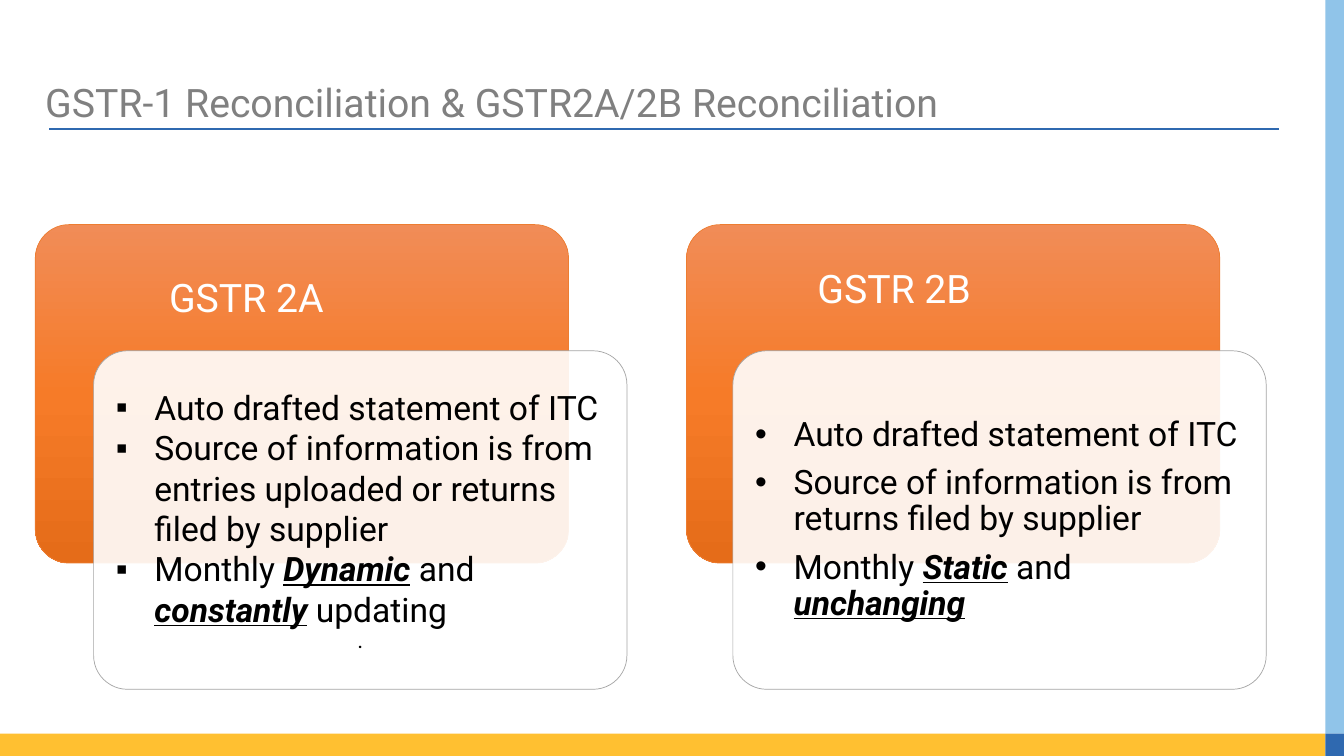
from copy import deepcopy

from lxml import etree
from pptx import Presentation
from pptx.dml.color import RGBColor
from pptx.enum.shapes import MSO_CONNECTOR, MSO_SHAPE
from pptx.enum.text import MSO_ANCHOR, MSO_AUTO_SIZE, PP_ALIGN
from pptx.oxml.ns import qn
from pptx.util import Cm, Pt

RECTANGLE, ROUNDED = MSO_SHAPE.RECTANGLE, MSO_SHAPE.ROUNDED_RECTANGLE
STRAIGHT = MSO_CONNECTOR.STRAIGHT
LEFT, CENTER = PP_ALIGN.LEFT, PP_ALIGN.CENTER
MIDDLE = MSO_ANCHOR.MIDDLE
NO_AUTOFIT = MSO_AUTO_SIZE.NONE

WIDTH, HEIGHT = 33.87, 19.05
TWO_CONTENT_LAYOUT = 3


def color(hex_string):
    return RGBColor.from_string(hex_string)


class SlideBuilder:
    font_name = "Roboto"
    yellow, light_blue, blue = "FFC031", "90C4E9", "2F69B0"
    gray, white, black = "808080", "FFFFFF", "000000"
    orange_line, card_line = "ED7D31", "A5A5A5"
    orange_stops = ((0, "F18C57"), (0.5, "F67B28"), (1, "E56C19"))
    list_indent = 0.97
    card_inset = 0.56

    def __init__(self, presentation):
        layout = presentation.slide_layouts[TWO_CONTENT_LAYOUT]
        self.slide = presentation.slides.add_slide(layout)
        self.shapes = self.slide.shapes

    def place(self, shape, box):
        for name, value in zip(("left", "top", "width", "height"), box):
            setattr(shape, name, Cm(value))

    def set_frame(self, frame, inset_x=0.25, inset_y=0.13):
        values = {
            "word_wrap": True, "auto_size": NO_AUTOFIT, "vertical_anchor": MIDDLE,
            "margin_left": Cm(inset_x), "margin_right": Cm(inset_x),
            "margin_top": Cm(inset_y), "margin_bottom": Cm(inset_y),
        }
        for name, value in values.items():
            setattr(frame, name, value)

    def fill_paragraph(self, paragraph, text, size, text_color,
                       spacing=1.0, after=0, align=LEFT):
        """Adds the text; parts between asterisks are emphasised."""
        values = {"alignment": align, "line_spacing": spacing,
                  "space_before": Pt(0), "space_after": Pt(after)}
        for name, value in values.items():
            setattr(paragraph, name, value)
        for index, part in enumerate(text.split("*")):
            if not part:
                continue
            strong = index % 2 == 1
            run = paragraph.add_run()
            run.text = part
            font = {"name": self.font_name, "size": Pt(size),
                    "bold": strong, "italic": strong, "underline": strong}
            for name, value in font.items():
                setattr(run.font, name, value)
            run.font.color.rgb = color(text_color)

    def title(self, box, text):
        title = self.shapes.title
        self.place(title, box)
        self.set_frame(title.text_frame)
        self.fill_paragraph(title.text_frame.paragraphs[0], text, 28, self.gray, spacing=0.9)

    def bar(self, box, fill):
        bar = self.shapes.add_shape(RECTANGLE, *map(Cm, box))
        bar.shadow.inherit = False
        bar.fill.solid()
        bar.fill.fore_color.rgb = color(fill)
        bar.line.fill.background()

    def rule(self, start_x, end_x, y):
        rule = self.shapes.add_connector(STRAIGHT, Cm(start_x), Cm(y), Cm(end_x), Cm(y))
        rule.line.color.rgb = color(self.blue)
        rule.line.width = Pt(0.82)
        etree.SubElement(rule._element.spPr, qn("a:effectLst"))

    def rounded(self, box, line):
        shape = self.shapes.add_shape(ROUNDED, *map(Cm, box))
        shape.shadow.inherit = False
        shape.adjustments[0] = 0.1
        shape.line.color.rgb = color(line)
        shape.line.width = Pt(0.5)
        return shape

    def orange_panel(self, box):
        panel = self.rounded(box, self.orange_line)
        panel.fill.gradient()
        panel.fill.gradient_angle = 270
        stop_list = panel._element.spPr.find(".//" + qn("a:gsLst"))
        stop_list.append(deepcopy(stop_list[0]))
        for stop, (position, hex_string) in zip(panel.fill.gradient_stops, self.orange_stops):
            stop.position = position
            stop.color.rgb = color(hex_string)

    def white_card(self, box):
        card = self.rounded(box, self.card_line)
        card.fill.solid()
        card.fill.fore_color.rgb = color(self.white)
        white = card._element.spPr.find(qn("a:solidFill"))[0]
        etree.SubElement(white, qn("a:alpha"), val="90000")

    def bullet(self, paragraph, character):
        properties = paragraph._p.get_or_add_pPr()
        indent = Cm(self.list_indent) if character else 0
        properties.set("marL", str(int(indent)))
        properties.set("indent", str(int(-indent)))
        if character:
            etree.SubElement(properties, qn("a:buFont"), typeface="Arial")
            etree.SubElement(properties, qn("a:buChar"), char=character)
        else:
            etree.SubElement(properties, qn("a:buNone"))

    def bullet_list(self, index, box, items, character, spacing, after, closing):
        body = self.slide.placeholders[index]
        self.place(body, box)
        self.shapes._spTree.append(body._element)  # bring in front of the card
        frame = body.text_frame
        self.set_frame(frame, self.card_inset, self.card_inset)
        for number, item in enumerate(items):
            paragraph = frame.add_paragraph() if number else frame.paragraphs[0]
            self.bullet(paragraph, character)
            self.fill_paragraph(paragraph, item, 24, self.black, spacing, after)
        if closing:
            paragraph = frame.add_paragraph()
            self.bullet(paragraph, None)
            self.fill_paragraph(paragraph, closing, 16, self.black, 0.9, 6, CENTER)

    def label(self, box, text):
        label = self.shapes.add_textbox(*map(Cm, box))
        self.set_frame(label.text_frame)
        self.fill_paragraph(label.text_frame.paragraphs[0], text, 28, self.white)


def main():
    presentation = Presentation()
    presentation.slide_width, presentation.slide_height = Cm(WIDTH), Cm(HEIGHT)
    builder = SlideBuilder(presentation)

    # Frame bars and title
    side_x, bottom_y = 33.4, 18.49
    side_width, bottom_height = WIDTH - side_x, HEIGHT - bottom_y
    builder.bar((0, bottom_y, side_x, bottom_height), builder.yellow)
    builder.bar((side_x, 0, side_width, bottom_y), builder.light_blue)
    builder.bar((side_x, bottom_y, side_width, bottom_height), builder.blue)
    builder.rule(1.24, 32.23, 3.25)
    builder.title((0.89, 2, 31.37, 1.27), "GSTR-1 Reconciliation & GSTR2A/2B Reconciliation")

    # Two statements, each an orange panel with a white card
    statements = [
        {"name": "GSTR 2A", "panel_x": 0.89, "card_x": 2.36, "label": (4.01, 6.76, 6.6, 1.45),
         "character": "▪", "spacing": 1.0, "after": 0, "closing": ".",
         "items": ["Auto drafted statement of ITC",
                   "Source of information is from entries uploaded or returns filed by supplier",
                   "Monthly *Dynamic* and *constantly* updating"]},
        {"name": "GSTR 2B", "panel_x": 17.3, "card_x": 18.47, "label": (20.35, 6.53, 6.07, 1.45),
         "character": "•", "spacing": 0.9, "after": 8.4, "closing": None,
         "items": ["Auto drafted statement of ITC",
                   "Source of information is from returns filed by supplier",
                   "Monthly *Static* and *unchanging*"]},
    ]
    card_size = (13.44, 8.53)
    for index, statement in enumerate(statements, start=1):
        card_box = (statement["card_x"], 8.84, *card_size)
        builder.orange_panel((statement["panel_x"], 5.66, *card_size))
        builder.white_card(card_box)
        builder.bullet_list(index, card_box, statement["items"], statement["character"],
                            statement["spacing"], statement["after"], statement["closing"])
        builder.label(statement["label"], statement["name"])

    presentation.save("out.pptx")


if __name__ == "__main__":
    main()
